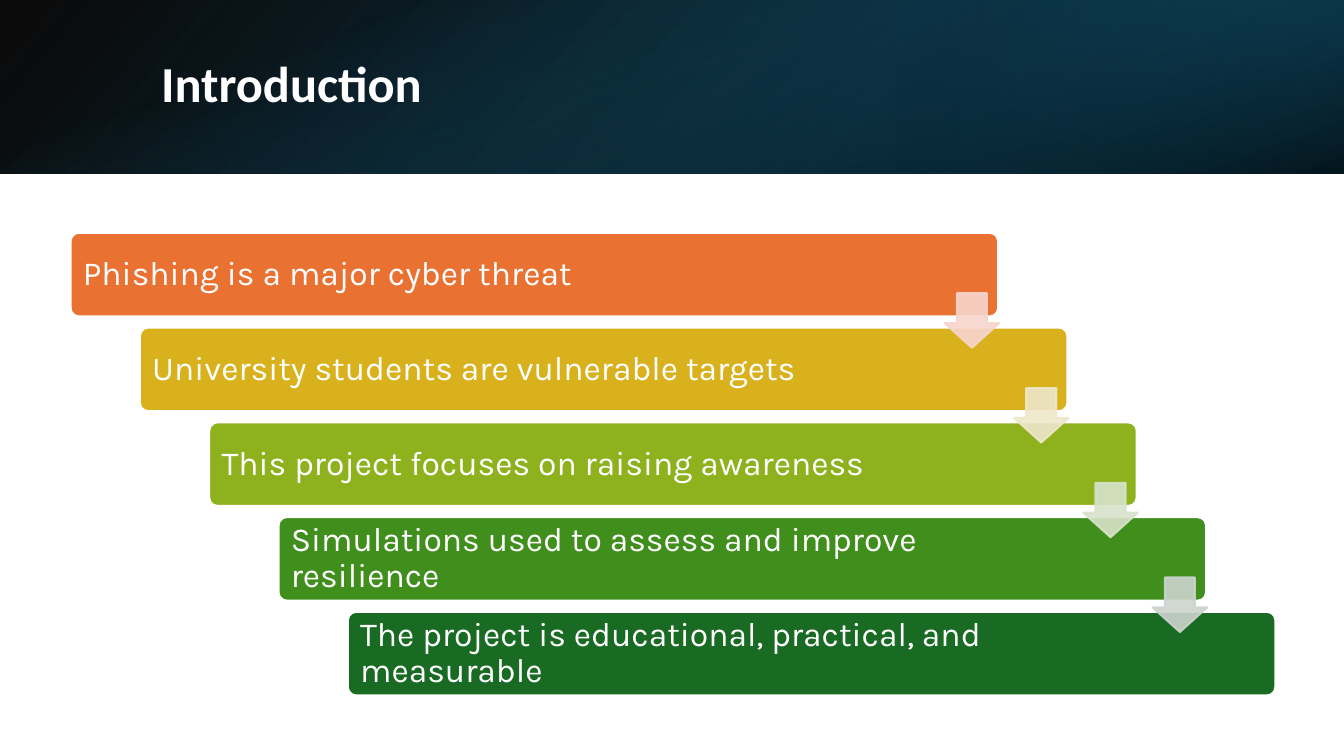
from dataclasses import dataclass

from lxml.etree import SubElement
from pptx import Presentation
from pptx.dml.color import RGBColor
from pptx.enum.shapes import MSO_SHAPE
from pptx.enum.text import MSO_ANCHOR, PP_ALIGN
from pptx.oxml.ns import qn
from pptx.util import Inches, Pt


@dataclass(frozen=True)
class Theme:
    white: str = "FFFFFF"
    black: str = "000000"
    teal: str = "104862"
    navy: str = "0B3041"
    blue: str = "156082"
    steps: tuple = ("E97132", "D8B11D", "8EB21E", "408E1C", "196B24")
    arrows: tuple = ("F7D5CE", "EEE7CB", "D8E2CA", "CCD4CD")
    arrow_opacity: int = 90
    title_font: str = "Calibri"
    step_font: str = "Karla"
    title_size: int = 36
    step_size: int = 24
    outline: float = 1.5


THEME = Theme()
STEPS = (
    "Phishing is a major cyber threat",
    "University students are vulnerable targets",
    "This project focuses on raising awareness",
    "Simulations used to assess and improve resilience",
    "The project is educational, practical, and measurable",
)


def set_opacity(properties, percents):
    for color, percent in zip(properties.iter(qn("a:srgbClr")), percents):
        SubElement(color, qn("a:alpha"), val=str(percent * 1000))


def add_plain_shape(slide, preset, left, top, width, height):
    shape = slide.shapes.add_shape(
        preset, Inches(left), Inches(top), Inches(width), Inches(height))
    shape.shadow.inherit = False
    return shape


def paint(shape, fill, line):
    shape.fill.solid()
    shape.fill.fore_color.rgb = RGBColor.from_string(fill)
    shape.line.color.rgb = RGBColor.from_string(line)
    shape.line.width = Pt(THEME.outline)


def write(frame, text, font, size, bold=False):
    frame.word_wrap = True
    frame.vertical_anchor = MSO_ANCHOR.MIDDLE
    paragraph = frame.paragraphs[0]
    paragraph.text = text
    paragraph.alignment = PP_ALIGN.LEFT
    paragraph.line_spacing = 0.9
    paragraph.font.name = font
    paragraph.font.size = Pt(size)
    paragraph.font.bold = bold
    paragraph.font.color.rgb = RGBColor.from_string(THEME.white)


def add_gradient_layer(slide, box, stops, angle, rotation=0, flip=False):
    layer = add_plain_shape(slide, MSO_SHAPE.RECTANGLE, *box)
    layer.line.fill.background()
    layer.rotation = rotation
    if flip:
        layer.element.spPr.xfrm.set("flipH", "1")
    layer.fill.gradient()
    layer.fill.gradient_angle = 360 - angle
    for stop, (position, color, _) in zip(layer.fill.gradient_stops, stops):
        stop.position = position
        stop.color.rgb = RGBColor.from_string(color)
    set_opacity(layer.element.spPr, [opacity for _, _, opacity in stops])


def add_header(slide, left, top, width, height):
    add_gradient_layer(
        slide, (left, top, width, height),
        ((0, THEME.black, 96), (1, THEME.teal, 100)), 140, flip=True)
    add_gradient_layer(
        slide, (left + width * 2 / 3, top, width / 3, height),
        ((0.19, THEME.navy, 68), (1, THEME.blue, 79)), 320, 180, flip=True)
    turn = (width - height) / 2
    add_gradient_layer(
        slide, (left + turn, top - turn, height, width),
        ((0.23, THEME.blue, 0), (0.99, THEME.black, 74)), 340, 90)
    title = slide.shapes.add_textbox(
        Inches(left + 1.5), Inches(top + 0.38), Inches(10.98), Inches(0.96))
    write(title.text_frame, "Introduction", THEME.title_font,
          THEME.title_size, bold=True)


def add_staircase(slide, left, top, width, height):
    card_width, card_height = 9.2, 0.83
    shift = (width - card_width) / (len(STEPS) - 1)
    drop = (height - card_height) / (len(STEPS) - 1)

    for index, (text, color) in enumerate(zip(STEPS, THEME.steps)):
        card = add_plain_shape(
            slide, MSO_SHAPE.ROUNDED_RECTANGLE,
            left + index * shift, top + index * drop, card_width, card_height)
        card.adjustments[0] = 0.1
        paint(card, color, THEME.white)
        frame = card.text_frame
        frame.margin_left = frame.margin_top = frame.margin_bottom = Inches(0.1)
        frame.margin_right = Inches(1.32)
        write(frame, text, THEME.step_font, THEME.step_size)

    for index, color in enumerate(THEME.arrows):
        arrow = add_plain_shape(
            slide, MSO_SHAPE.DOWN_ARROW,
            left + 8.67 + index * shift, top + 0.6 + index * drop, 0.54, 0.54)
        arrow.adjustments[0] = 0.55
        arrow.adjustments[1] = 0.45
        paint(arrow, color, color)
        set_opacity(arrow.element.spPr, [THEME.arrow_opacity] * 2)


def main():
    deck = Presentation()
    deck.slide_width = Inches(13.33)
    deck.slide_height = Inches(7.5)
    slide = deck.slides.add_slide(deck.slide_layouts[6])
    add_header(slide, 0, 0, 13.33, 1.72)
    add_staircase(slide, 0.7, 2.31, 11.95, 4.59)
    deck.save("out.pptx")


if __name__ == "__main__":
    main()
